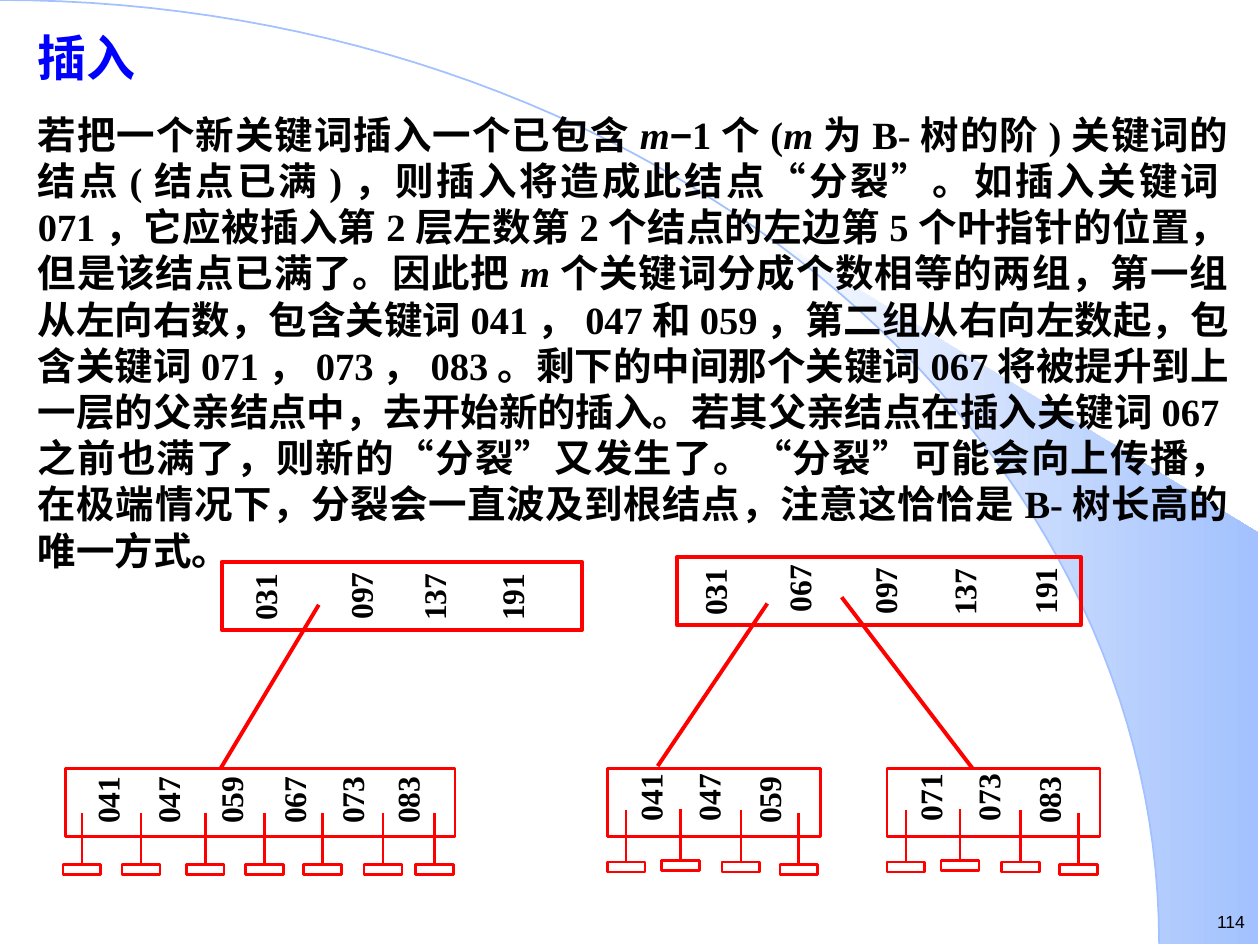
"""Build a slide explaining insertion and node splitting in a B-tree."""
import dataclasses
import math

import lxml.etree
import pptx
import pptx.dml.color
import pptx.enum.shapes
import pptx.enum.text
import pptx.oxml.ns
import pptx.util

Inches = pptx.util.Inches
Point = pptx.util.Pt
Color = pptx.dml.color.RGBColor.from_string


@dataclasses.dataclass(frozen=True)
class Theme:
    latin: str = "Times New Roman"
    sans: str = "Arial"
    chinese: str = "Noto Sans CJK SC"
    black: str = "000000"
    blue: str = "0000FF"
    red: str = "FF0000"
    white: str = "FFFFFF"
    sky: str = "A2C1FE"
    title_size: float = 28
    body_size: float = 22
    key_size: float = 18
    number_size: float = 10
    line_ratio: float = 1.2
    thick: float = 2.25
    thin: float = 1.5


THEME = Theme()
SLIDE_SIZE = (10, 7.5)
TITLE = "插入"
PAGE_NUMBER = "114"

BODY = [
    ("若把一个新关键词插入一个已包含", "plain"), ("m", "italic"), ("−", "minus"),
    ("1个(", "plain"), ("m", "italic"),
    ("为B-树的阶)关键词的结点(结点已满)，则插入将造成此结点", "plain"),
    ("“", "quote"), ("分裂", "plain"), ("”", "quote"),
    ("。如插入关键词071，它应被插入第2层左数第2个结点的左边第5个叶指针的位置，"
     "但是该结点已满了。因此把", "plain"),
    ("m", "italic"),
    ("个关键词分成个数相等的两组，第一组从左向右数，包含关键词041，047和059，"
     "第二组从右向左数起，包含关键词071，073，083。剩下的中间那个关键词067将被提升到"
     "上一层的父亲结点中，去开始新的插入。若其父亲结点在插入关键词067之前也满了，"
     "则新的", "plain"),
    ("“", "quote"), ("分裂", "plain"), ("”", "quote"), ("又发生了。", "plain"),
    ("“", "quote"), ("分裂", "plain"), ("”", "quote"),
    ("可能会向上传播，在极端情况下，分裂会一直波及到根结点，"
     "注意这恰恰是B-树长高的唯一方式。", "plain"),
]
RUN_FONTS = {"plain": THEME.latin, "italic": THEME.latin,
             "minus": THEME.sans, "quote": THEME.chinese}

NODE_HEIGHT = 0.54
KEY_BOX = (0.5, 0.28)
POINTER_BOX = (0.3, 0.08)
POINTER_LENGTH = 0.4
SPLIT_SHIFT = 2.22
SPLIT_KEYS = [(5.16, 6.33), (5.62, 6.33), (6.1, 6.35)]
SPLIT_POINTERS = [(4.97, 6.43), (5.4, 6.42), (5.88, 6.43), (6.34, 6.45)]


def shifted(points):
    return [(x + SPLIT_SHIFT, y) for x, y in points]


ROOTS = [
    {"left": 1.76, "top": 4.46, "width": 2.86, "keys": ["031", "097", "137", "191"],
     "centers": [(2.1, 4.74), (2.86, 4.73), (3.44, 4.74), (4.06, 4.74)]},
    {"left": 5.37, "top": 4.42, "width": 3.21, "keys": ["031", "067", "097", "137", "191"],
     "centers": [(5.67, 4.7), (6.34, 4.67), (7.02, 4.69), (7.65, 4.7), (8.29, 4.69)]},
]
LEAVES = [
    {"left": 0.52, "top": 6.1, "width": 3.09,
     "keys": ["041", "047", "059", "067", "073", "083"],
     "centers": [(x, 6.35) for x in (0.85, 1.33, 1.83, 2.33, 2.79, 3.23)],
     "pointers": [(x, 6.45) for x in (0.65, 1.12, 1.63, 2.1, 2.56, 3.04, 3.45)]},
    {"left": 4.82, "top": 6.1, "width": 1.69, "keys": ["041", "047", "059"],
     "centers": SPLIT_KEYS, "pointers": SPLIT_POINTERS},
    {"left": 4.82 + SPLIT_SHIFT, "top": 6.1, "width": 1.69, "keys": ["071", "073", "083"],
     "centers": shifted(SPLIT_KEYS), "pointers": shifted(SPLIT_POINTERS)},
]
BRANCHES = [(2.53, 4.8, 1.75, 6.1), (6.09, 4.79, 5.22, 6.08), (6.68, 4.74, 7.72, 6.1)]

ARC_RADII = (9.2, 7.49)
SWEEP_START = 5.89
SWEEP_CORNERS = [(9.99, 7.49), (9.99, 4.23)]


def arc_points(start_x, steps=60):
    radius_x, radius_y = ARC_RADII
    start = math.asin(start_x / radius_x)
    angles = [start + (math.pi / 2 - start) * step / steps for step in range(steps + 1)]
    return [(radius_x * math.sin(angle), radius_y * (1 - math.cos(angle))) for angle in angles]


def add_outline(slide, points, close):
    corners = [(Inches(x), Inches(y)) for x, y in points]
    builder = slide.shapes.build_freeform(*corners[0])
    builder.add_line_segments(corners[1:], close=close)
    shape = builder.convert_to_shape()
    shape.shadow.inherit = False
    return shape


def add_background(slide):
    sweep = add_outline(slide, arc_points(SWEEP_START) + SWEEP_CORNERS, True)
    sweep.line.fill.background()
    sweep.fill.gradient()
    sweep.fill.gradient_angle = 0
    for stop, color in zip(sweep.fill.gradient_stops, (THEME.white, THEME.sky)):
        stop.color.rgb = Color(color)
    arc = add_outline(slide, arc_points(0), False)
    arc.fill.background()
    arc.line.color.rgb = Color(THEME.sky)
    arc.line.width = Point(1)


def place(shape, left, top, width, height):
    shape.left, shape.top = Inches(left), Inches(top)
    shape.width, shape.height = Inches(width), Inches(height)


def prepare_frame(shape, margins, anchor):
    frame = shape.text_frame
    frame.word_wrap = True
    frame.auto_size = pptx.enum.text.MSO_AUTO_SIZE.NONE
    frame.vertical_anchor = anchor
    frame.margin_left = frame.margin_right = Inches(margins[0])
    frame.margin_top = frame.margin_bottom = Inches(margins[1])
    return frame.paragraphs[0]


def add_run(paragraph, text, size, color, font=THEME.latin, bold=True, italic=False):
    run = paragraph.add_run()
    run.text = text
    run.font.size = Point(size)
    run.font.bold, run.font.italic = bold, italic
    run.font.color.rgb = Color(color)
    run.font.name = font
    properties = run.font._element
    lxml.etree.SubElement(properties, pptx.oxml.ns.qn("a:ea"), typeface=THEME.chinese)


def fill_placeholder(shape, box, runs, size, color):
    place(shape, *box)
    paragraph = prepare_frame(shape, (0.1, 0.05), pptx.enum.text.MSO_ANCHOR.TOP)
    properties = paragraph._p.get_or_add_pPr()
    properties.set("marL", "0")
    properties.set("indent", "0")
    lxml.etree.SubElement(properties, pptx.oxml.ns.qn("a:buNone"))
    paragraph.alignment = pptx.enum.text.PP_ALIGN.JUSTIFY
    paragraph.space_before = Point(0)
    paragraph.line_spacing = Point(size * THEME.line_ratio)
    for text, kind in runs:
        add_run(paragraph, text, size, color, RUN_FONTS[kind], italic=kind == "italic")


def add_label(slide, text, box, size, font, alignment, bold, rotation=0):
    label = slide.shapes.add_textbox(*map(Inches, box))
    label.rotation = rotation
    paragraph = prepare_frame(label, (0, 0), pptx.enum.text.MSO_ANCHOR.MIDDLE)
    paragraph.alignment = alignment
    add_run(paragraph, text, size, THEME.black, font, bold)


def add_box(slide, box, weight):
    shape = slide.shapes.add_shape(pptx.enum.shapes.MSO_SHAPE.RECTANGLE, *map(Inches, box))
    shape.shadow.inherit = False
    shape.fill.background()
    shape.line.color.rgb = Color(THEME.red)
    shape.line.width = Point(weight)


def add_line(slide, ends, weight):
    line = slide.shapes.add_connector(
        pptx.enum.shapes.MSO_CONNECTOR.STRAIGHT, *map(Inches, ends))
    line.line.color.rgb = Color(THEME.red)
    line.line.width = Point(weight)
    lxml.etree.SubElement(line._element.spPr, pptx.oxml.ns.qn("a:effectLst"))


def centered(x, y, size):
    return (x - size[0] / 2, y - size[1] / 2, *size)


def add_node(slide, node, weight):
    add_box(slide, (node["left"], node["top"], node["width"], NODE_HEIGHT), weight)
    for key, center in zip(node["keys"], node["centers"]):
        add_label(slide, key, centered(*center, KEY_BOX), THEME.key_size, THEME.latin,
                  pptx.enum.text.PP_ALIGN.CENTER, True, 270)
    for x, top in node.get("pointers", []):
        bottom = top + POINTER_LENGTH
        add_line(slide, (x, bottom, x, top), THEME.thin)
        add_box(slide, centered(x, bottom + 0.05, POINTER_BOX), THEME.thin)


def main():
    presentation = pptx.Presentation()
    presentation.slide_width, presentation.slide_height = map(Inches, SLIDE_SIZE)
    slide = presentation.slides.add_slide(presentation.slide_layouts[1])
    title, body = slide.placeholders
    add_background(slide)
    for placeholder in (title, body):
        slide.shapes._spTree.append(placeholder._element)
    fill_placeholder(title, (0.2, 0.17, 9.65, 0.57), [(TITLE, "plain")],
                     THEME.title_size, THEME.blue)
    fill_placeholder(body, (0.2, 0.83, 9.65, 3.77), BODY, THEME.body_size, THEME.black)
    for root in ROOTS:
        add_node(slide, root, THEME.thick)
    for leaf in LEAVES:
        add_node(slide, leaf, THEME.thin)
    for branch in BRANCHES:
        add_line(slide, branch, THEME.thick)
    add_label(slide, PAGE_NUMBER, (9.41, 7.18, 0.47, 0.27), THEME.number_size, THEME.sans,
              pptx.enum.text.PP_ALIGN.RIGHT, False)
    presentation.save("out.pptx")


if __name__ == "__main__":
    main()
